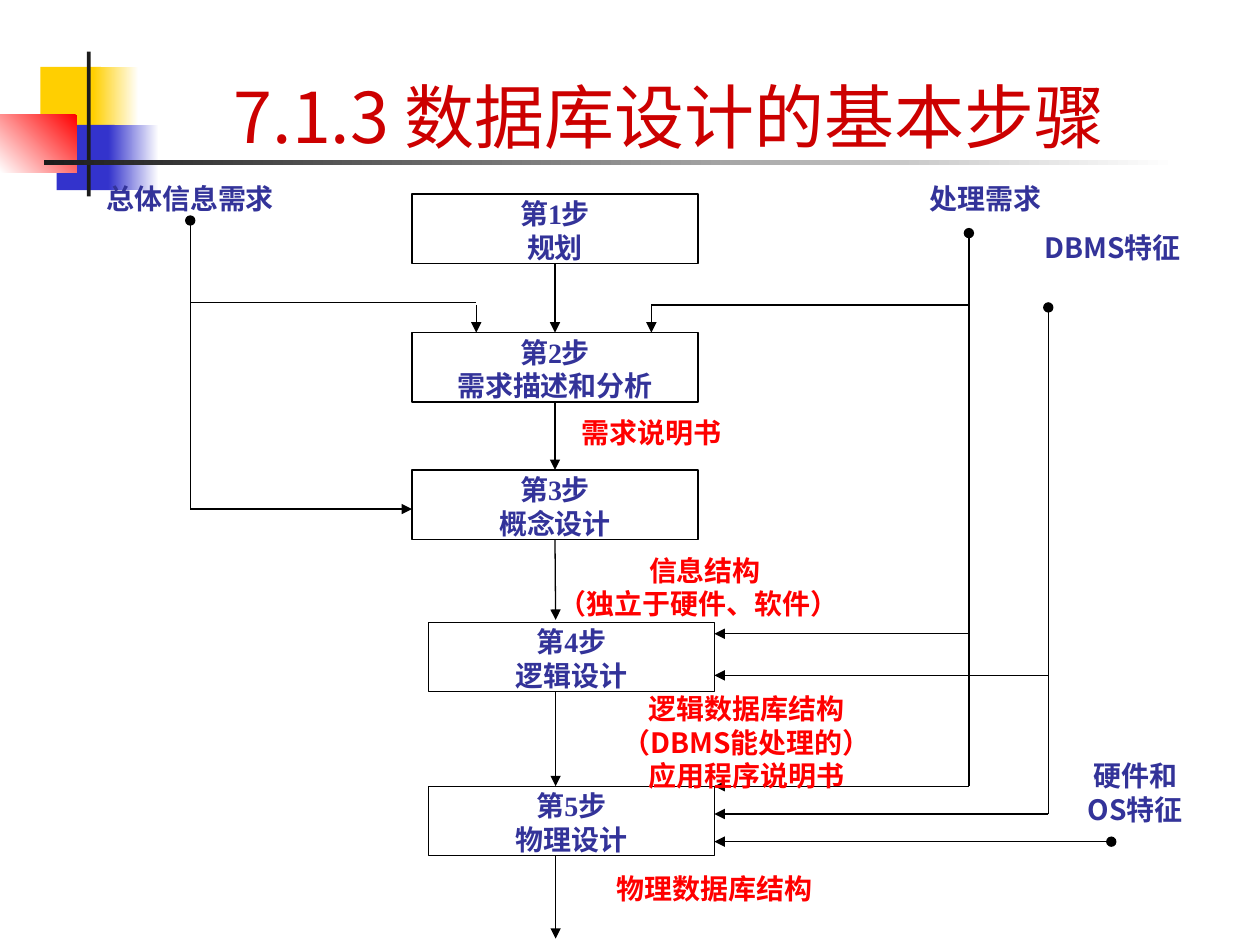
from lxml import etree
from pptx import Presentation
from pptx.dml.color import RGBColor
from pptx.enum.shapes import MSO_CONNECTOR, MSO_SHAPE
from pptx.enum.text import MSO_ANCHOR, PP_ALIGN
from pptx.oxml.ns import qn
from pptx.util import Inches, Pt

RECTANGLE = MSO_SHAPE.RECTANGLE
STRAIGHT = MSO_CONNECTOR.STRAIGHT
CENTER = PP_ALIGN.CENTER
TOP, BOTTOM = MSO_ANCHOR.TOP, MSO_ANCHOR.BOTTOM
SIDE_TOP, SIDE_BOTTOM = 0, 2

WHITE = RGBColor(0xFF, 0xFF, 0xFF)
BLACK = RGBColor(0x00, 0x00, 0x00)
CHARCOAL = RGBColor(0x1C, 0x1C, 0x1C)
YELLOW = RGBColor(0xFF, 0xCF, 0x01)
BLUE = RGBColor(0x33, 0x33, 0xCC)
RED = RGBColor(0xFF, 0x00, 0x00)
INDIGO = RGBColor(0x33, 0x33, 0x99)
TITLE_RED = RGBColor(0xCC, 0x00, 0x00)

SANS = "Noto Sans CJK SC"
SERIF = "Times New Roman"


class SlideBuilder:
    """Holds the diagram style and the slide being drawn."""

    line_width = Pt(0.75)
    line_spacing = 1.2
    label_format = {"size": Pt(16), "bold": True, "name": SANS}
    title_format = {"size": Pt(40), "bold": False, "name": SANS}

    def __init__(self, slide):
        self.slide = slide

    def fill_text(self, shape, lines, color, formats, anchor=TOP, first_font=SANS,
                  first_indent=0):
        frame = shape.text_frame
        frame.word_wrap = True
        frame.vertical_anchor = anchor
        frame.margin_left = frame.margin_right = frame.margin_bottom = 0
        frame.margin_top = Inches(0.02)
        for index, line in enumerate(lines):
            paragraph = frame.paragraphs[0] if index == 0 else frame.add_paragraph()
            paragraph.alignment = CENTER
            paragraph.line_spacing = Pt(formats["size"].pt * self.line_spacing)
            if index == 0 and first_indent:
                paragraph._p.get_or_add_pPr().set("marL", str(Inches(first_indent)))
            run = paragraph.add_run()
            run.text = line
            for name, value in formats.items():
                setattr(run.font, name, value)
            if index == 0:
                run.font.name = first_font
            run.font.color.rgb = color
            east_asian = etree.SubElement(run.font._element, qn("a:ea"))
            east_asian.set("typeface", SANS)

    def rectangle(self, left, top, width, height):
        shape = self.slide.shapes.add_shape(
            RECTANGLE, Inches(left), Inches(top), Inches(width), Inches(height))
        shape.shadow.inherit = False
        return shape

    def block(self, box, *colors, angle=180):
        """A decoration: one colour is solid, two make a gradient."""
        shape = self.rectangle(*box)
        shape.line.fill.background()
        if len(colors) == 1:
            shape.fill.solid()
            shape.fill.fore_color.rgb = colors[0]
        else:
            shape.fill.gradient()
            shape.fill.gradient_angle = angle
            for stop, color in zip(shape.fill.gradient_stops, colors):
                stop.color.rgb = color

    def step(self, left, top, lines):
        shape = self.rectangle(left, top, 2.27, 0.55)
        shape.fill.solid()
        shape.fill.fore_color.rgb = WHITE
        shape.line.color.rgb = BLACK
        shape.line.width = self.line_width
        self.fill_text(shape, lines, INDIGO, self.label_format, first_font=SERIF)
        return shape

    def text(self, box, lines, color, formats=None, **options):
        shape = self.slide.shapes.add_textbox(*(Inches(value) for value in box))
        self.fill_text(shape, lines, color, formats or self.label_format, **options)

    def connector(self, start, end, head=None, tail=None):
        line = self.slide.shapes.add_connector(
            STRAIGHT, *(Inches(value) for value in (*start, *end)))
        line.line.color.rgb = BLACK
        line.line.width = self.line_width
        outline = line.line._get_or_add_ln()
        for tag, kind in (("a:headEnd", head), ("a:tailEnd", tail)):
            if kind:
                etree.SubElement(outline, qn(tag)).set("type", kind)
        etree.SubElement(line._element.spPr, qn("a:effectLst"))
        return line

    def arrow(self, start, end, head=None):
        return self.connector(start, end, head, "triangle")


def main():
    presentation = Presentation()
    presentation.slide_width = Inches(10)
    presentation.slide_height = Inches(7.5)
    slide = presentation.slides.add_slide(presentation.slide_layouts[6])
    builder = SlideBuilder(slide)

    # Corner decoration and title rule
    builder.block((0.32, 0.53, 0.48, 0.52), YELLOW)
    builder.block((0.74, 0.53, 0.36, 0.52), WHITE, YELLOW)
    builder.block((0.45, 0.99, 0.46, 0.52), BLUE)
    builder.block((0.86, 0.99, 0.4, 0.52), WHITE, BLUE)
    builder.block((0, 0.91, 0.61, 0.46), RED, WHITE, angle=225)
    builder.block((0.69, 0.41, 0.03, 1.15), CHARCOAL)
    builder.block((0.35, 1.27, 9, 0.04), WHITE, CHARCOAL)

    # Vertical trunks of the inputs
    main_x, overall_x, process_x, dbms_x = 4.41, 1.51, 7.69, 8.32
    for x, top, bottom in ((overall_x, 1.75, 4.04), (process_x, 1.85, 6.24),
                           (dbms_x, 2.44, 6.46)):
        builder.connector((x, top), (x, bottom), head="oval")

    # Branches from the trunks to the steps
    left_edge, right_edge = 3.27, 5.67
    builder.arrow((overall_x, 4.04), (left_edge, 4.04))
    builder.connector((overall_x, 2.4), (3.78, 2.4))
    builder.connector((5.17, 2.42), (process_x, 2.42))
    for x in (3.78, 5.17):
        builder.arrow((x, 2.42), (x, 2.64))
    for x, y in ((process_x, 5.03), (dbms_x, 5.36), (process_x, 6.24),
                 (dbms_x, 6.46)):
        builder.arrow((x, y), (right_edge, y))
    builder.arrow((8.82, 6.68), (right_edge, 6.68), head="oval")

    # Steps
    steps = [builder.step(left, top, (f"第{number}步", name))
             for number, (left, top, name) in enumerate((
                 (3.27, 1.54, "规划"),
                 (3.27, 2.64, "需求描述和分析"),
                 (3.27, 3.73, "概念设计"),
                 (3.4, 4.94, "逻辑设计"),
                 (3.4, 6.24, "物理设计")), start=1)]

    # Main flow; the last two steps sit off its axis, so they are not joined
    flow = [builder.arrow((main_x, top), (main_x, bottom))
            for top, bottom in ((2.09, 2.64), (3.19, 3.73), (4.28, 4.92),
                                (5.49, 6.24), (6.79, 7.45))]
    for line, step in zip(flow, steps[:3]):
        line.begin_connect(step, SIDE_BOTTOM)
    for line, step in zip(flow, steps[1:3]):
        line.end_connect(step, SIDE_TOP)

    # Input labels
    builder.text((0.5, 1.42, 2.02, 0.33), ["总体信息需求"], INDIGO)
    builder.text((6.81, 1.42, 2.02, 0.33), ["处理需求"], INDIGO)
    builder.text((7.82, 1.81, 2.02, 0.33), ["DBMS特征"], INDIGO)
    builder.text((8.44, 6, 1.14, 0.46), ["硬件和", "OS特征"], INDIGO)

    # Result labels
    builder.text((4.16, 3.28, 2.02, 0.33), ["需求说明书"], RED)
    builder.text((4.03, 4.37, 3.03, 0.55), ["信息结构", "（独立于硬件、软件）"], RED,
                 first_indent=0.1)
    builder.text((4.41, 5.47, 3.03, 0.66),
                 ["逻辑数据库结构", "（DBMS能处理的）", "应用程序说明书"], RED)
    builder.text((4.66, 6.9, 2.02, 0.33), ["物理数据库结构"], RED)

    # Title
    builder.text((1.05, 0.5, 8.52, 0.75), ["7.1.3 数据库设计的基本步骤"], TITLE_RED,
                 builder.title_format, anchor=BOTTOM)

    presentation.save("out.pptx")


if __name__ == "__main__":
    main()
